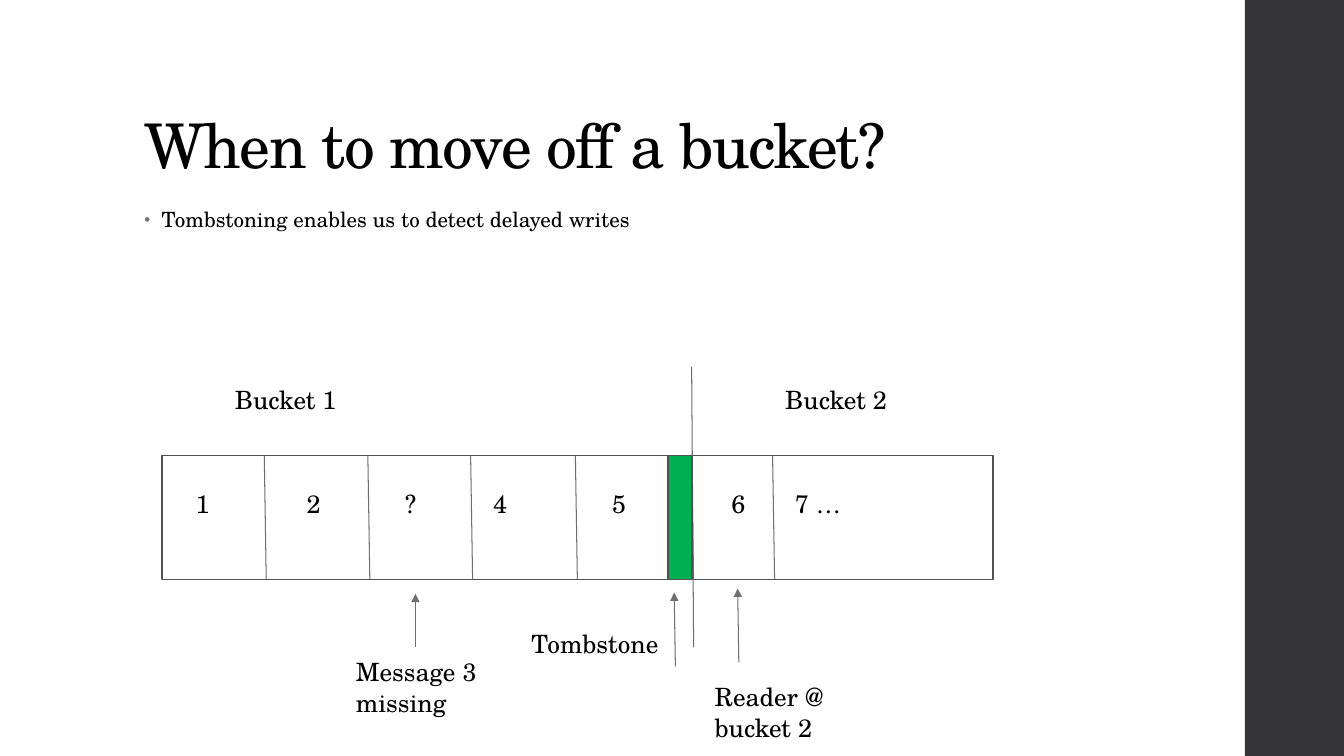
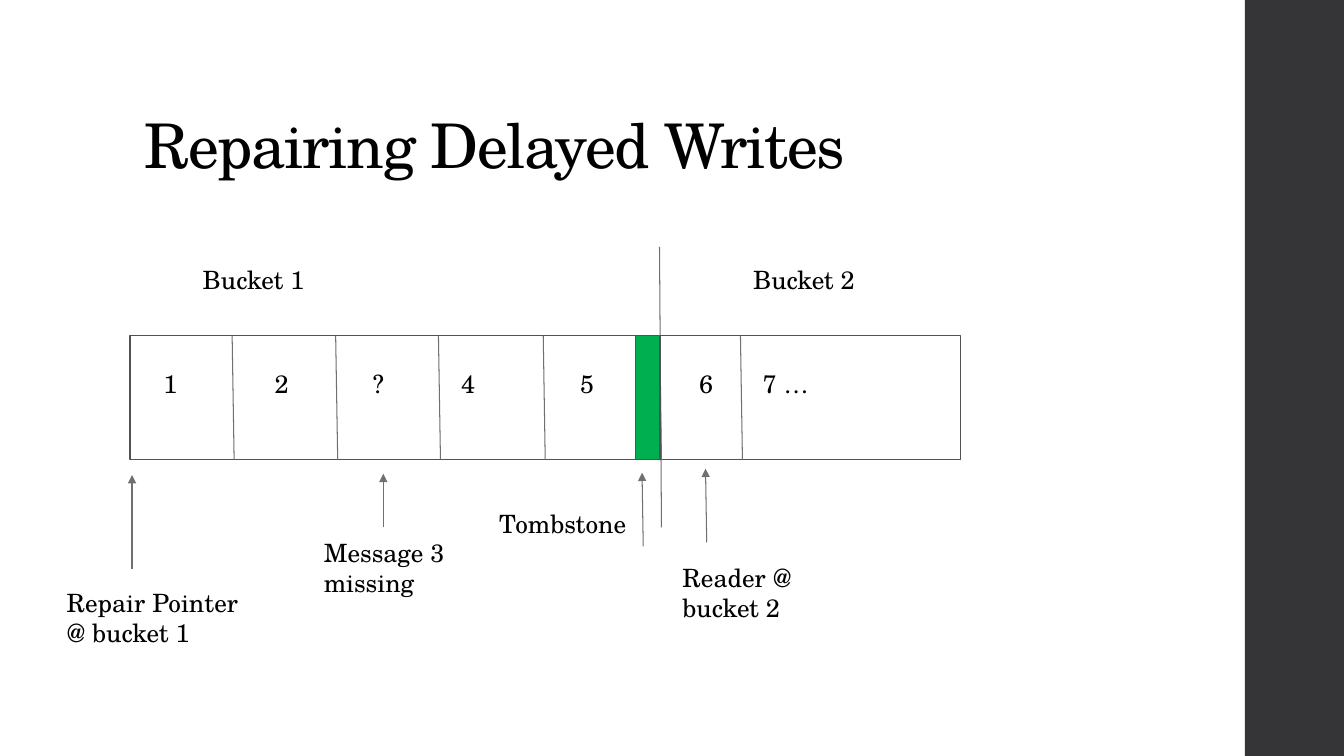
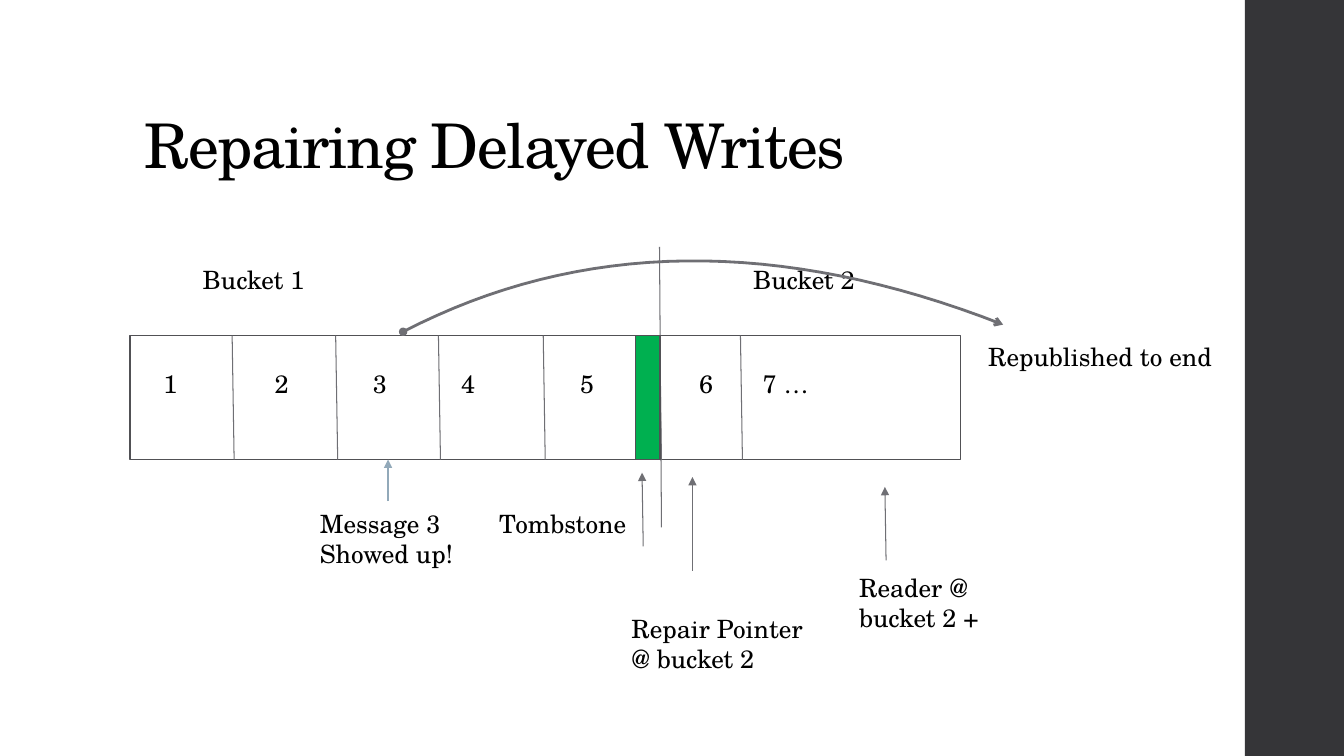
from lxml import etree
from pptx import Presentation
from pptx import util as u
from pptx.dml.color import RGBColor
from pptx.enum import shapes, text
from pptx.oxml import ns

FONT = "TeX Gyre Schola"
BLACK, WHITE, DARK, GREY = "000000", "FFFFFF", "353538", "6F6F74"
OUTLINE, GREEN, PALE_BLUE = "515155", "00B050", "92A9B9"
THIN, MEDIUM, THICK = 0.75, 1.1, 2
STRIP_WIDTH, STRIP_HEIGHT, SLANT = 20.93, 3.12, 0.05
DIVIDERS = [2.57, 5.18, 7.77, 10.41, 13.34, 15.38]
NUMBER_TABS = [2.8, 5.28, 7.5, 10.5, 13.5, 15.1]
INSETS = {side: u.Cm(0.13) for side in
          ("margin_left", "margin_top", "margin_right", "margin_bottom")}
LABEL_FRAME = {**INSETS, "word_wrap": True,
               "auto_size": text.MSO_AUTO_SIZE.SHAPE_TO_FIT_TEXT}
HOLDER_FRAME = {**INSETS, "word_wrap": True, "auto_size": text.MSO_AUTO_SIZE.NONE}
TITLE_FRAME = {**HOLDER_FRAME, "vertical_anchor": text.MSO_ANCHOR.BOTTOM}
BODY_FRAME = {**HOLDER_FRAME, "vertical_anchor": text.MSO_ANCHOR.TOP}


def color(code):
    return RGBColor.from_string(code)


def assign(target, values):
    for name, value in values.items():
        setattr(target, name, value)


def add_xml(parent, tag, **attributes):
    return etree.SubElement(parent, ns.qn(tag), attributes)


class BucketDeck:
    """Holds the deck style, the current page and the origin of its diagram."""

    def __init__(self):
        self.deck = Presentation()
        assign(self.deck, {"slide_width": u.Cm(33.87), "slide_height": u.Cm(19.05)})
        self.page = None
        self.origin = (0, 0)

    def start(self, title, bullet=None):
        layout = self.deck.slide_layouts[1 if bullet else 5]
        self.page = self.deck.slides.add_slide(layout)
        self.origin = (0, 0)
        if len(self.deck.slides) == 1:
            self.add_master_band()
        para = self.fill_holder(self.page.shapes.title, (3.51, 1.02, 26.92, 3.68),
                                title, TITLE_FRAME, 44)
        para.line_spacing = 0.9
        para.runs[0].font._element.set("spc", "-100")
        if bullet:
            self.add_bullet(bullet)

    def add_master_band(self):
        fill = self.deck.slide_master.background.fill
        fill.solid()
        fill.fore_color.rgb = color(WHITE)
        band = self.add_box((31.37, 0, 2.54, 19.05), DARK, None)
        self.deck.slide_master.shapes.element.append(band.element)

    def add_bullet(self, words):
        para = self.fill_holder(self.page.placeholders[1], (3.51, 5.08, 23.88, 12.09),
                                words, BODY_FRAME, 15)
        para.space_before = u.Pt(14)
        props = para._p.get_or_add_pPr()
        for name, indent in {"marL": 0.43, "indent": -0.43}.items():
            props.set(name, str(int(u.Cm(indent))))
        add_xml(add_xml(props, "a:buClr"), "a:srgbClr", val=GREY)
        add_xml(props, "a:buSzPct", val="80000")
        add_xml(props, "a:buFont", typeface="Arial")
        add_xml(props, "a:buChar", char="•")

    def fill_holder(self, holder, area, words, frame_format, size):
        assign(holder, dict(zip(("left", "top", "width", "height"), map(u.Cm, area))))
        self.set_words(holder.text_frame, words, frame_format, size)
        return holder.text_frame.paragraphs[0]

    def set_words(self, frame, words, frame_format, size):
        frame.text = words
        assign(frame, frame_format)
        for para in frame.paragraphs:
            para.alignment = text.PP_ALIGN.LEFT
            for span in para.runs:
                assign(span.font, {"name": FONT, "size": u.Pt(size)})
                span.font.color.rgb = color(BLACK)

    def place(self, x, y):
        return u.Cm(self.origin[0] + x), u.Cm(self.origin[1] + y)

    def add_box(self, area, fill, line):
        x, y, width, height = area
        box = self.page.shapes.add_shape(shapes.MSO_SHAPE.RECTANGLE, *self.place(x, y),
                                         u.Cm(width), u.Cm(height))
        box.shadow.inherit = False
        if fill:
            box.fill.solid()
            box.fill.fore_color.rgb = color(fill)
        else:
            box.fill.background()
        if line:
            self.style_line(box, line, MEDIUM)
        else:
            box.line.fill.background()
        return box

    def style_line(self, shape, line, weight, **ends):
        shape.line.color.rgb = color(line)
        shape.line.width = u.Pt(weight)
        outline = shape.element.spPr.find(ns.qn("a:ln"))
        for end in ("headEnd", "tailEnd"):
            if end in ends:
                add_xml(outline, "a:" + end, type=ends[end])

    def add_line(self, start, end, line=GREY, weight=THIN, **ends):
        link = self.page.shapes.add_connector(shapes.MSO_CONNECTOR.STRAIGHT,
                                              *self.place(*start), *self.place(*end))
        self.style_line(link, line, weight, **ends)
        add_xml(link.element.spPr, "a:effectLst")

    def add_arrow(self, start, end, line=GREY, weight=THIN):
        self.add_line(start, end, line, weight, tailEnd="triangle")

    def add_curve(self, points, steps=32):
        def at(t):
            weights = ((1 - t) ** 3, 3 * t * (1 - t) ** 2, 3 * t * t * (1 - t), t ** 3)
            return self.place(*(sum(w * p[axis] for w, p in zip(weights, points))
                                for axis in (0, 1)))
        outline = self.page.shapes.build_freeform(*at(0))
        outline.add_line_segments([at(i / steps) for i in range(1, steps + 1)], close=False)
        curve = outline.convert_to_shape()
        curve.shadow.inherit = False
        curve.fill.background()
        self.style_line(curve, GREY, THICK, headEnd="oval", tailEnd="arrow")

    def add_label(self, words, x, y, width, height=1.04):
        box = self.page.shapes.add_textbox(*self.place(x, y), u.Cm(width), u.Cm(height))
        self.set_words(box.text_frame, words, LABEL_FRAME, 18)
        return box.text_frame.paragraphs[0]

    def add_note(self, words, corner, width, start, end, **line_format):
        self.add_arrow(start, end, **line_format)
        self.add_label(words, *corner, width, 1.8)

    def add_strip(self, origin, third):
        self.origin = origin
        self.add_box((0, 0, STRIP_WIDTH, STRIP_HEIGHT), None, OUTLINE)
        for x in DIVIDERS:
            self.add_line((x, 0), (x + SLANT, STRIP_HEIGHT))
        numbers = "\t".join(["1", "2", third, "4", "5", "6", "7 …"])
        para = self.add_label(numbers, 0.71, 0.7, 20.19)
        stops = add_xml(para._p.get_or_add_pPr(), "a:tabLst")
        for stop in NUMBER_TABS:
            add_xml(stops, "a:tab", pos=str(int(u.Cm(stop))), algn="l")
        self.add_line((13.34, -2.24), (13.39, 4.83))
        self.add_label("Bucket 1", 1.7, -1.92, 4.67)
        self.add_label("Bucket 2", 15.57, -1.92, 4.32)
        self.add_box((12.74, 0, 0.61, STRIP_HEIGHT), GREEN, OUTLINE)
        self.add_arrow((12.93, 5.31), (12.9, 3.45))
        self.add_label("Tombstone", 9.17, 4.22, 4.37)

    def add_missing_message(self):
        self.add_note("Message 3 missing", (4.75, 4.94), 5.31, (6.38, 4.83), (6.38, 3.48))
        self.add_note("Reader @ bucket 2", (13.79, 5.57), 3.66, (14.53, 5.21), (14.5, 3.35))

    def add_repair_pointer(self, bucket, corner, start, end):
        self.add_note(f"Repair Pointer\n@ bucket {bucket}", corner, 4.98, start, end,
                      weight=MEDIUM)


def main():
    talk = BucketDeck()

    talk.start("When to move off a bucket?", "Tombstoning enables us to detect delayed writes")
    talk.add_strip((4.09, 11.48), "?")
    talk.add_missing_message()

    talk.start("Repairing Delayed Writes")
    talk.add_strip((3.28, 8.46), "?")
    talk.add_missing_message()
    talk.add_repair_pointer(1, (-1.73, 6.2), (0.05, 5.87), (0.05, 3.51))

    talk.start("Repairing Delayed Writes")
    talk.add_strip((3.28, 8.46), "3")
    talk.add_note("Message 3\nShowed up!", (4.65, 4.22), 5.31, (6.5, 4.17),
                  (6.5, STRIP_HEIGHT), line=PALE_BLUE, weight=MEDIUM)
    talk.add_curve([(6.88, -0.1), (11.33, -2.41), (16.36, -2.49), (22, -0.28)])
    talk.add_repair_pointer(2, (12.5, 6.86), (14.17, 5.92), (14.17, 3.56))
    talk.add_label("Republished to end", 21.49, 0.02, 6.2)
    talk.add_note("Reader @ bucket 2 +", (18.24, 5.82), 3.66, (19.05, 5.66), (19.02, 3.81))

    talk.deck.save("out.pptx")


if __name__ == "__main__":
    main()
